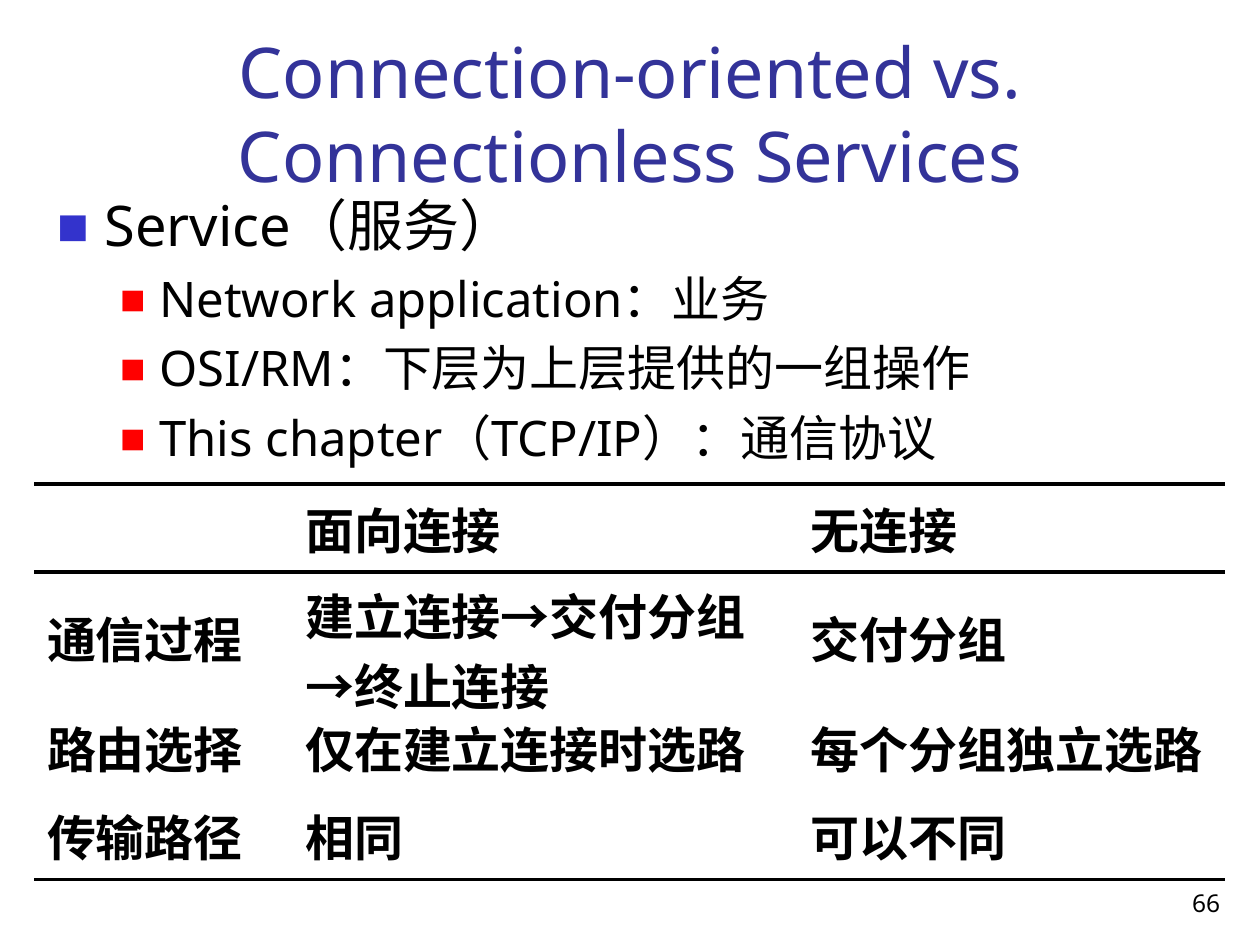
"""Build a slide comparing connection-oriented and connectionless services."""
from lxml import etree
from pptx import Presentation
from pptx.dml.color import RGBColor
from pptx.enum.text import MSO_ANCHOR, PP_ALIGN
from pptx.oxml.ns import qn
from pptx.util import Pt

MIDDLE, TOP, BOTTOM = MSO_ANCHOR.MIDDLE, MSO_ANCHOR.TOP, MSO_ANCHOR.BOTTOM
LEFT, CENTER, RIGHT = PP_ALIGN.LEFT, PP_ALIGN.CENTER, PP_ALIGN.RIGHT
COLORS = {"text": "000000", "title": "333399", "service": "3333CC", "detail": "FF0000"}
BODY_FONT, TABLE_FONT = "Noto Sans", "Open Sans"
BULLET_STYLES = [
    {"size": 32, "line": 38, "margin": 27, "hang": 27, "color": "service", "scale": 60},
    {"size": 28, "line": 34, "margin": 58.5, "hang": 22.5, "color": "detail", "scale": 55},
]
BULLETS = [
    (0, "Service（服务）"),
    (1, "Network application：业务"),
    (1, "OSI/RM：下层为上层提供的一组操作"),
    (1, "This chapter（TCP/IP）：通信协议"),
]
COLUMN_WIDTHS = [147.5, 289, 244]
ROW_HEIGHTS = [50.4, 75, 50.4, 50.4]
COMPARISON = [
    ["", "面向连接", "无连接"],
    ["通信过程", "建立连接→交付分组→终止连接", "交付分组"],
    ["路由选择", "仅在建立连接时选路", "每个分组独立选路"],
    ["传输路径", "相同", "可以不同"],
]


def format_runs(para, size, font=BODY_FONT, color="text", bold=False):
    for span in para.runs:
        span.font.size = Pt(size)
        span.font.name = font
        span.font.bold = bold
        span.font.color.rgb = RGBColor.from_string(COLORS[color])


def add_text_box(page, left, top, width, height, anchor):
    box = page.shapes.add_textbox(Pt(left), Pt(top), Pt(width), Pt(height))
    box.text_frame.word_wrap = True
    box.text_frame.vertical_anchor = anchor
    return box.text_frame


def add_label(page, area, text, size, color, align, anchor, line=None):
    frame = add_text_box(page, *area, anchor)
    frame.text = text
    para = frame.paragraphs[0]
    para.alignment = align
    if line:
        para.line_spacing = Pt(line)
    format_runs(para, size, color=color)


def set_bullet(para, style):
    props = para._p.get_or_add_pPr()
    props.set("marL", str(Pt(style["margin"])))
    props.set("indent", str(-Pt(style["hang"])))
    color = etree.SubElement(props, qn("a:buClr"))
    etree.SubElement(color, qn("a:srgbClr"), val=COLORS[style["color"]])
    etree.SubElement(props, qn("a:buSzPct"), val=str(style["scale"] * 1000))
    etree.SubElement(props, qn("a:buFont"), typeface=BODY_FONT)
    etree.SubElement(props, qn("a:buChar"), char="■")


def add_bullets(page, area, items):
    frame = add_text_box(page, *area, TOP)
    frame.text = "\n".join(text for _, text in items)
    for para, (level, _) in zip(frame.paragraphs, items):
        style = BULLET_STYLES[level]
        para.level = level
        para.alignment = LEFT
        para.line_spacing = Pt(style["line"])
        para.space_before = Pt(style["size"] * 0.2)
        set_bullet(para, style)
        format_runs(para, style["size"])


def set_borders(cell, ruled_sides):
    props = cell._tc.get_or_add_tcPr()
    for side in ("lnL", "lnR", "lnT", "lnB"):
        line = etree.SubElement(props, qn(f"a:{side}"), w=str(Pt(2.25)))
        if side in ruled_sides:
            fill = etree.SubElement(line, qn("a:solidFill"))
            etree.SubElement(fill, qn("a:srgbClr"), val=COLORS["text"])
        else:
            etree.SubElement(line, qn("a:noFill"))


def add_comparison(page, left, top):
    last = len(COMPARISON) - 1
    ruled_sides = {0: ("lnT", "lnB"), 1: ("lnT",), last: ("lnB",)}
    table = page.shapes.add_table(
        len(COMPARISON), len(COLUMN_WIDTHS), Pt(left), Pt(top),
        Pt(sum(COLUMN_WIDTHS)), Pt(sum(ROW_HEIGHTS)),
    ).table
    table.first_row = False
    table.horz_banding = False
    for column, width in zip(table.columns, COLUMN_WIDTHS):
        column.width = Pt(width)
    for index, (row, height) in enumerate(zip(table.rows, ROW_HEIGHTS)):
        row.height = Pt(height)
        for cell, text in zip(row.cells, COMPARISON[index]):
            cell.text = text
            cell.vertical_anchor = MIDDLE
            format_runs(cell.text_frame.paragraphs[0], 28, TABLE_FONT, bold=True)
            set_borders(cell, ruled_sides.get(index, ()))
            cell.fill.background()


def main():
    deck = Presentation()
    deck.slide_width, deck.slide_height = Pt(720), Pt(540)
    page = deck.slides.add_slide(deck.slide_layouts[6])
    add_label(page, (554.4, 492, 150, 36), "66", 14, "text", RIGHT, BOTTOM)
    add_label(page, (25.5, 16, 669, 96), "Connection-oriented vs. Connectionless Services",
              40, "title", CENTER, MIDDLE, line=48)
    add_bullets(page, (25.5, 106, 669, 189), BULLETS)
    add_comparison(page, 19.7, 276.5)
    deck.save("out.pptx")


main()
